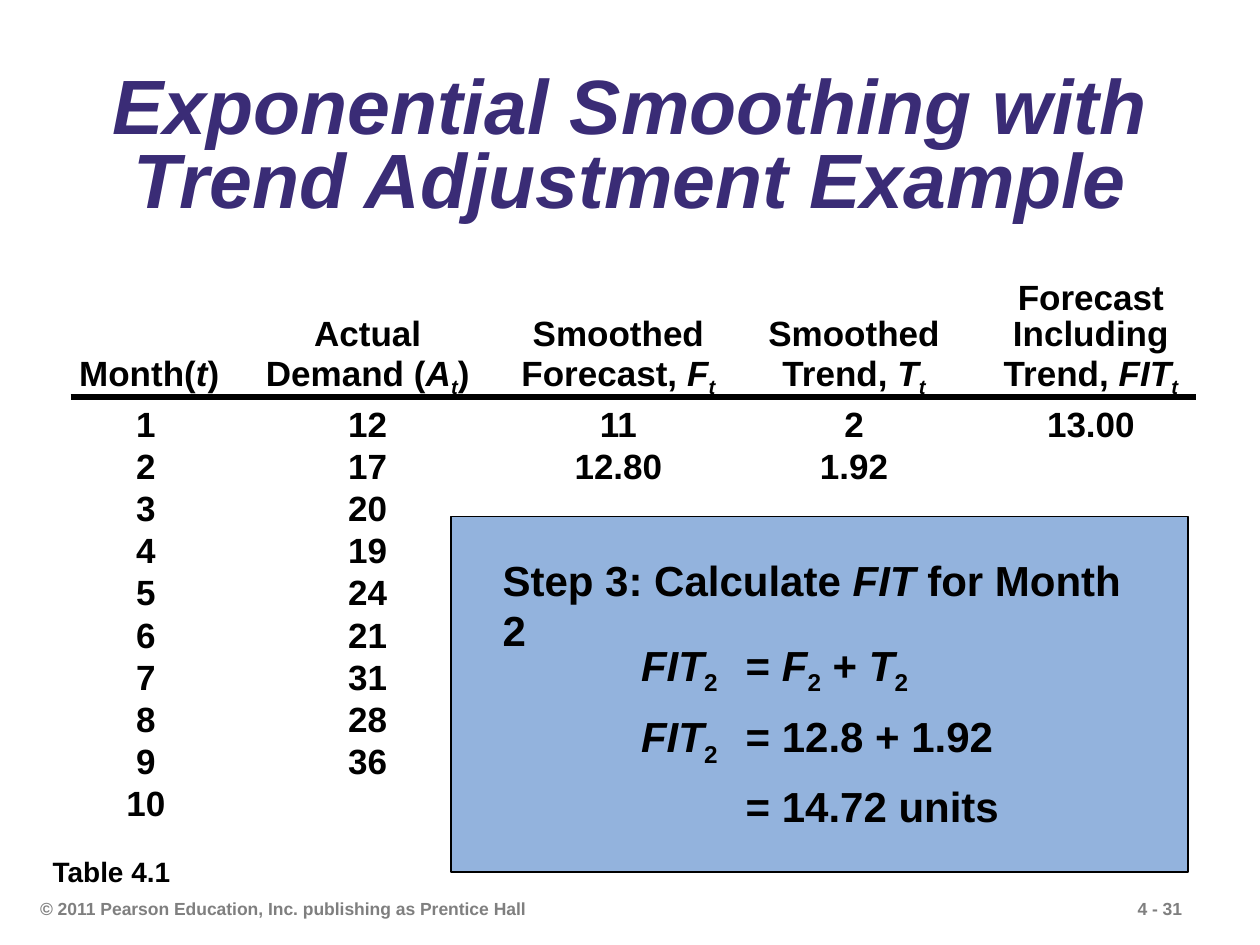
from lxml import etree
from pptx import Presentation
from pptx.dml.color import RGBColor
from pptx.enum.shapes import MSO_CONNECTOR, MSO_SHAPE
from pptx.enum.text import MSO_ANCHOR, MSO_AUTO_SIZE, PP_ALIGN
from pptx.oxml.ns import qn
from pptx.util import Inches, Pt

STRAIGHT = MSO_CONNECTOR.STRAIGHT
RECTANGLE = MSO_SHAPE.RECTANGLE
TOP, MIDDLE = MSO_ANCHOR.TOP, MSO_ANCHOR.MIDDLE
LEFT, CENTER = PP_ALIGN.LEFT, PP_ALIGN.CENTER
GROW, FIXED = MSO_AUTO_SIZE.SHAPE_TO_FIT_TEXT, MSO_AUTO_SIZE.NONE

BLACK = RGBColor(0x00, 0x00, 0x00)
GRAY = RGBColor(0x7F, 0x7F, 0x7F)
PURPLE = RGBColor(0x3A, 0x2C, 0x76)
BLUE = RGBColor(0x93, 0xB3, 0xDD)

PLAIN, ITALIC, SUB, ITALIC_SUB = "", "i", "s", "is"

TITLE = "Exponential Smoothing with Trend Adjustment Example"
COPYRIGHT = "© 2011 Pearson Education, Inc. publishing as Prentice Hall"
PAGE = "4 - 31"
CAPTION = "Table 4.1"

HEADINGS = [
    [("\t\t\t\t\tForecast", PLAIN)],
    [("\t\tActual\tSmoothed\tSmoothed\tIncluding", PLAIN)],
    [
        ("\tMonth(", PLAIN), ("t", ITALIC),
        (")\tDemand (", PLAIN), ("A", ITALIC), ("t", ITALIC_SUB),
        (")\tForecast, ", PLAIN), ("F", ITALIC), ("t", ITALIC_SUB),
        ("\tTrend, ", PLAIN), ("T", ITALIC), ("t", ITALIC_SUB),
        ("\tTrend, ", PLAIN), ("FIT", ITALIC), ("t", ITALIC_SUB),
    ],
]
MONTHS = [
    ("1", "12", "11", "2", "13.00"),
    ("2", "17", "12.80", "1.92"),
    ("3", "20"),
    ("4", "19"),
    ("5", "24"),
    ("6", "21"),
    ("7", "31"),
    ("8", "28"),
    ("9", "36"),
    ("10",),
]
COLUMN_CENTERS = [0.53, 2.29, 4.28, 6.15, 8.03]

STEP = [[("Step 3: Calculate ", PLAIN), ("FIT", ITALIC), (" for Month 2", PLAIN)]]
FIT_2 = [("FIT", ITALIC), ("2 \t", SUB)]
EQUATIONS = [
    FIT_2 + [("= ", PLAIN), ("F", ITALIC), ("2", SUB),
             (" + ", PLAIN), ("T", ITALIC), ("2", SUB)],
    FIT_2 + [("= 12.8 + 1.92", PLAIN)],
    [("\t= 14.72 units", PLAIN)],
]
EQUALS_TAB = 0.83


def add_tabs(paragraph, positions, align):
    tab_list = etree.SubElement(paragraph._p.get_or_add_pPr(), qn("a:tabLst"))
    for position in positions:
        etree.SubElement(tab_list, qn("a:tab"),
                         pos=str(Inches(position)), algn=align)


def add_text(slide, place, lines, size, color=BLACK, wrap=False, anchor=TOP,
             align=LEFT, spacing=None, tabs=(), tab_align="l", italic=False):
    box = slide.shapes.add_textbox(*map(Inches, place))
    frame = box.text_frame
    frame.word_wrap = wrap
    frame.auto_size = FIXED if wrap else GROW
    frame.vertical_anchor = anchor
    for index, line in enumerate(lines):
        paragraph = frame.add_paragraph() if index else frame.paragraphs[0]
        if tabs:
            add_tabs(paragraph, tabs, tab_align)
        paragraph.alignment = align
        if spacing:
            paragraph.line_spacing = spacing
        for text, style in line:
            run = paragraph.add_run()
            run.text = text
            run.font.name = "Arial"
            run.font.size = Pt(size)
            run.font.bold = True
            run.font.italic = italic or "i" in style
            run.font.color.rgb = color
            if "s" in style:
                run._r.get_or_add_rPr().set("baseline", "-25000")
    return frame


def add_forecast_table(slide):
    rows = [[("".join("\t" + value for value in month), PLAIN)] for month in MONTHS]
    frame = add_text(slide, (0.53, 2.19, 8.93, 4.4), HEADINGS + rows, 20,
                     tabs=COLUMN_CENTERS, tab_align="ctr")
    for heading in frame.paragraphs[:len(HEADINGS)]:
        heading.line_spacing = 0.85
    frame.paragraphs[len(HEADINGS)].space_before = Pt(5)

    rule = slide.shapes.add_connector(
        STRAIGHT, Inches(0.56), Inches(3.15), Inches(9.49), Inches(3.15))
    rule.line.color.rgb = BLACK
    rule.line.width = Pt(3)
    etree.SubElement(rule._element.spPr, qn("a:effectLst"))


def add_step(slide):
    panel = slide.shapes.add_shape(
        RECTANGLE, Inches(3.58), Inches(4.1), Inches(5.85), Inches(2.82))
    panel.shadow.inherit = False
    panel.fill.solid()
    panel.fill.fore_color.rgb = BLUE
    panel.line.color.rgb = BLACK
    panel.line.width = Pt(0.75)
    add_text(slide, (4.99, 4.91, 3.04, 1.74), EQUATIONS, 24,
             spacing=1.25, tabs=[EQUALS_TAB])
    add_text(slide, (3.89, 4.35, 5.38, 0.5), STEP, 24)


def main():
    deck = Presentation()
    deck.slide_width, deck.slide_height = Inches(10), Inches(7.5)
    slide = deck.slides.add_slide(deck.slide_layouts[6])
    add_text(slide, (8.93, 7.08, 1.07, 0.27), [[(PAGE, PLAIN)]], 10, GRAY)
    add_text(slide, (0.22, 7.08, 4.14, 0.28), [[(COPYRIGHT, PLAIN)]], 10, GRAY,
             wrap=True)
    add_text(slide, (0.51, 0.47, 8.99, 1.43), [[(TITLE, PLAIN)]], 44, PURPLE,
             wrap=True, anchor=MIDDLE, align=CENTER, spacing=0.8, italic=True)
    add_forecast_table(slide)
    add_text(slide, (0.32, 6.73, 1.15, 0.37), [[(CAPTION, PLAIN)]], 16)
    add_step(slide)
    deck.save("out.pptx")


if __name__ == "__main__":
    main()
